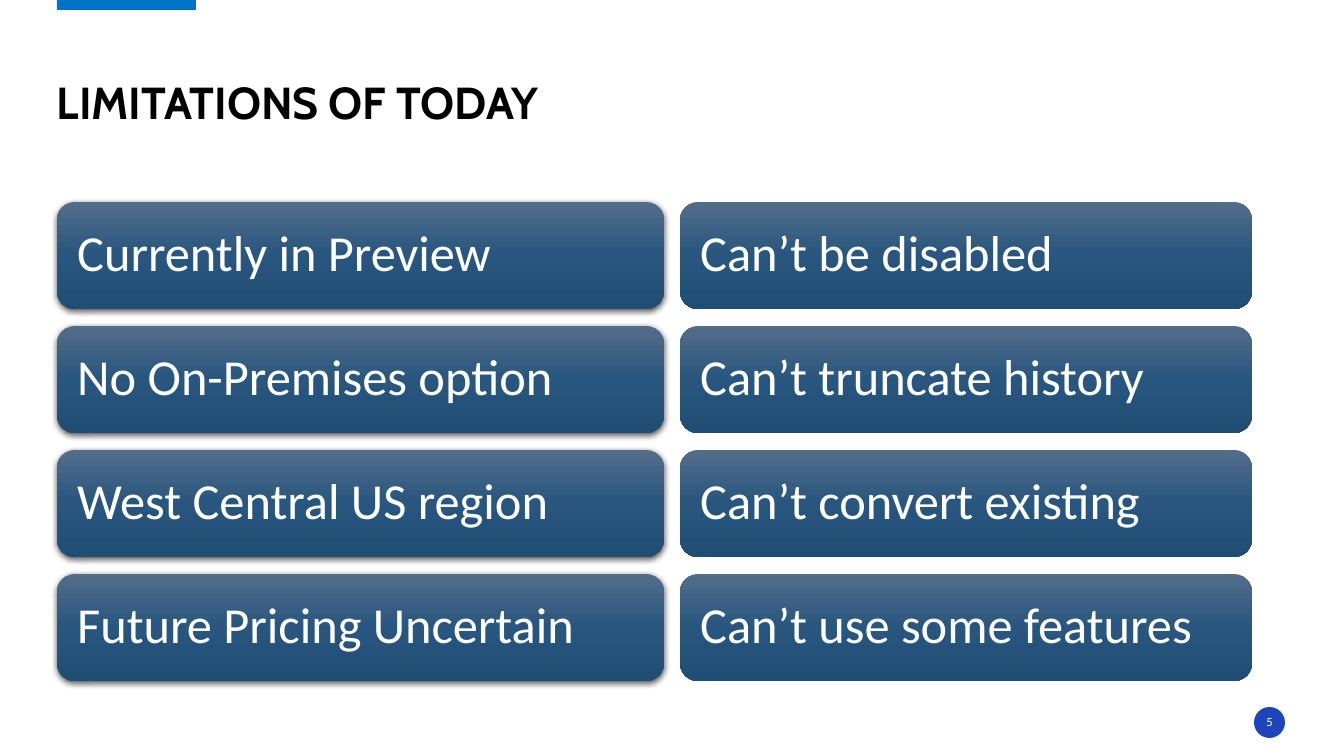
from copy import deepcopy

from lxml import etree
from pptx import Presentation
from pptx import util as u
from pptx.dml.color import RGBColor
from pptx.enum import shapes, text
from pptx.oxml.ns import qn

TITLE = "LIMITATIONS OF TODAY"
PAGE_NUMBER = "5"
COLUMNS = [
    {"left": 57, "width": 607, "shadow": True, "limits": [
        "Currently in Preview", "No On-Premises option",
        "West Central US region", "Future Pricing Uncertain"]},
    {"left": 680, "width": 572, "shadow": False, "limits": [
        "Can’t be disabled", "Can’t truncate history",
        "Can’t convert existing", "Can’t use some features"]},
]
CARD_GRADIENT = [(0, "536D8A"), (0.5, "28567E"), (1, "204D73")]
CARD_TOP, CARD_HEIGHT, CARD_PITCH, CARD_INSET = 202, 107, 124, 15
EMU_PER_PX = 914400 / 100.8


def px(length):
    return u.Emu(round(length * EMU_PER_PX))


def rgb(color):
    return RGBColor.from_string(color)


def add_block(kind, left, top, width, height, color=None):
    block = slide.shapes.add_shape(kind, px(left), px(top), px(width), px(height))
    block.shadow.inherit = False
    block.line.fill.background()
    if color:
        block.fill.solid()
        block.fill.fore_color.rgb = rgb(color)
    return block


def write(block, words, size, font, color, anchor, align, inset=0, bold=False):
    frame = block.text_frame
    frame.word_wrap = True
    frame.vertical_anchor = anchor
    frame.margin_left = frame.margin_right = px(inset)
    frame.margin_top = frame.margin_bottom = px(inset)
    paragraph = frame.paragraphs[0]
    paragraph.text = words
    paragraph.alignment = align
    paragraph.line_spacing = 0.9
    paragraph.font.size = u.Pt(size)
    paragraph.font.name = font
    paragraph.font.bold = bold
    paragraph.font.color.rgb = rgb(color)


def shade(card):
    card.fill.gradient()
    card.fill.gradient_angle = 270
    stops = card.element.spPr.find(".//" + qn("a:gsLst"))
    stops.append(deepcopy(stops[0]))
    for stop, (position, color) in zip(card.fill.gradient_stops, CARD_GRADIENT):
        stop.position = position
        stop.color.rgb = rgb(color)


def cast_shadow(card):
    effects = card.element.spPr.find(qn("a:effectLst"))
    shadow = etree.SubElement(effects, qn("a:outerShdw"), blurRad=str(u.Pt(4.5)),
                              dist=str(u.Pt(1.5)), dir="5400000", rotWithShape="0")
    black = etree.SubElement(shadow, qn("a:srgbClr"), val="000000")
    etree.SubElement(black, qn("a:alpha"), val="63000")


deck = Presentation()
deck.slide_width, deck.slide_height = px(1344), px(756)
slide = deck.slides.add_slide(deck.slide_layouts[6])

add_block(shapes.MSO_SHAPE.RECTANGLE, 57, 0, 139, 10, "0072C7")
page_badge = add_block(shapes.MSO_SHAPE.OVAL, 1254, 707, 31, 31, "1E44BC")
write(page_badge, PAGE_NUMBER, 9, "Calibri", "FFFFFF",
      text.MSO_ANCHOR.MIDDLE, text.PP_ALIGN.CENTER)

for column in COLUMNS:
    for row, limit in enumerate(column["limits"]):
        card = add_block(shapes.MSO_SHAPE.ROUNDED_RECTANGLE, column["left"],
                         CARD_TOP + row * CARD_PITCH, column["width"], CARD_HEIGHT)
        shade(card)
        if column["shadow"]:
            cast_shadow(card)
        write(card, limit, 36, "Calibri", "FFFFFF",
              text.MSO_ANCHOR.MIDDLE, text.PP_ALIGN.LEFT, CARD_INSET)

heading = slide.shapes.add_textbox(px(57), px(27), px(1229), px(102))
write(heading, TITLE, 32, "Cabin", "000000",
      text.MSO_ANCHOR.BOTTOM, text.PP_ALIGN.LEFT, bold=True)

deck.save("out.pptx")
